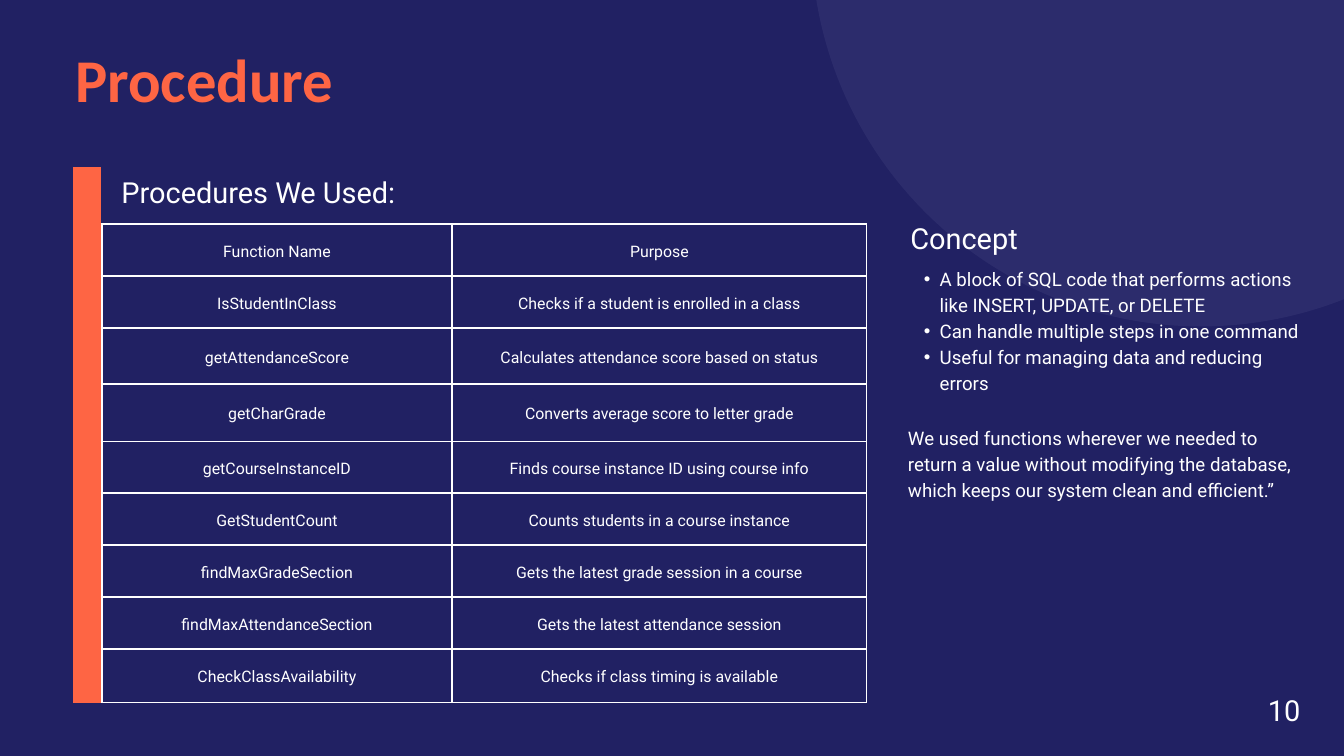
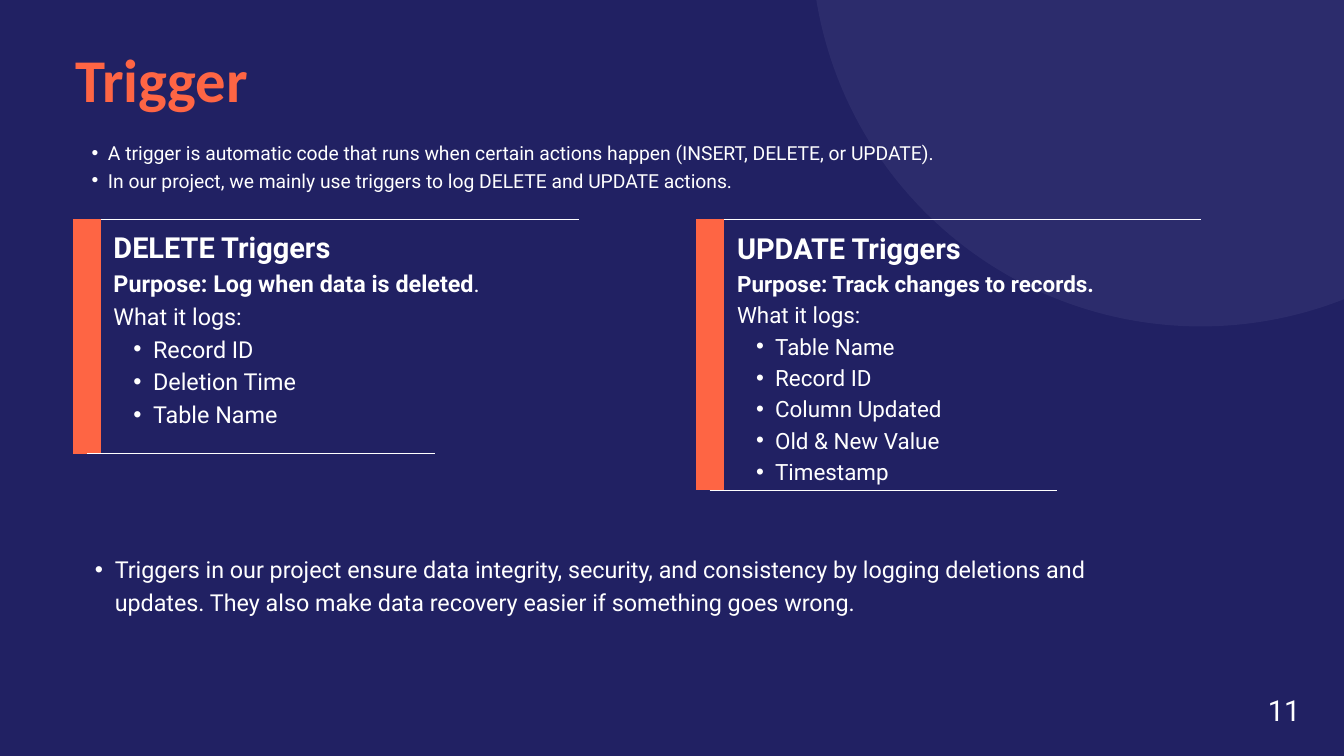
import pptx
import pptx.dml.color
import pptx.enum.shapes
import pptx.enum.text
import pptx.oxml
import pptx.oxml.ns
import pptx.util
from pptx.util import Cm

NAVY = pptx.dml.color.RGBColor(0x21, 0x21, 0x63)
INDIGO = pptx.dml.color.RGBColor(0x2C, 0x2C, 0x6C)
ORANGE = pptx.dml.color.RGBColor(0xFE, 0x65, 0x44)
WHITE = pptx.dml.color.RGBColor(0xFF, 0xFF, 0xFF)

TITLE = {"size": 65, "name": "Calibri", "bold": True, "color": ORANGE}
BODY = {"size": 20, "name": "Roboto", "bold": False, "color": WHITE}
HEADING = {**BODY, "size": 31}
LEADING = 1.4
BULLET_INDENT = 1.7
LEFT = 2.84
BAR_X = 3.3
CENTER = pptx.enum.text.PP_ALIGN.CENTER

PROCEDURES = [
    ("Function Name", "Purpose"),
    ("IsStudentInClass", "Checks if a student is enrolled in a class"),
    ("getAttendanceScore", "Calculates attendance score based on status"),
    ("getCharGrade", "Converts average score to letter grade"),
    ("getCourseInstanceID", "Finds course instance ID using course info"),
    ("GetStudentCount", "Counts students in a course instance"),
    ("findMaxGradeSection", "Gets the latest grade session in a course"),
    ("findMaxAttendanceSection", "Gets the latest attendance session"),
    ("CheckClassAvailability", "Checks if class timing is available"),
]
COLUMN_WIDTHS = (13.26, 15.65)
ROW_HEIGHTS = (1.96, 1.96, 2.11, 2.18, 1.96, 1.96, 1.96, 1.96, 2.03)


def xml(tag, content="", **attrs):
    """Return a drawing element with the given attributes."""
    fields = "".join(f' {key}="{value}"' for key, value in attrs.items())
    ns = pptx.oxml.ns.nsdecls("a")
    return pptx.oxml.parse_xml(f"<a:{tag} {ns}{fields}>{content}</a:{tag}>")


def add_run(p, text, style):
    """Append a run formatted from a style dict."""
    r = p.add_run()
    r.text = text
    for key, value in style.items():
        if key == "color":
            r.font.color.rgb = value
        else:
            setattr(r.font, key, pptx.util.Pt(value) if key == "size" else value)


def fill_paragraph(p, text, style, bullet=False, align=None):
    """Write a paragraph with proportional leading and an optional bullet."""
    p.alignment = align
    p.line_spacing = pptx.util.Pt(round(LEADING * style["size"], 1))
    add_run(p, text, style)
    if bullet:
        p.level = 1
        margin = pptx.util.Pt(BULLET_INDENT * style["size"])
        pPr = p._p.get_or_add_pPr()
        pPr.set("marL", str(margin))
        pPr.set("indent", str(-margin // 2))
        pPr.append(xml("buFont", typeface="Arial"))
        pPr.append(xml("buChar", char="•"))


def add_text(slide, box, paragraphs, align=None):
    """Add a text box of (text, style, bullet) paragraphs and return its frame."""
    tf = slide.shapes.add_textbox(*map(Cm, box)).text_frame
    frame = {"word_wrap": True,
             "auto_size": pptx.enum.text.MSO_AUTO_SIZE.SHAPE_TO_FIT_TEXT}
    frame.update({f"margin_{side}": 0 for side in ("left", "right", "top", "bottom")})
    for key, value in frame.items():
        setattr(tf, key, value)
    for i, (text, style, bullet) in enumerate(paragraphs):
        p = tf.add_paragraph() if i else tf.paragraphs[0]
        fill_paragraph(p, text, style, bullet, align)
    return tf


def add_line(slide, x1, y1, x2, y2, color=WHITE, width=0.75):
    """Add a straight line without a shadow."""
    sp = slide.shapes.add_connector(
        pptx.enum.shapes.MSO_CONNECTOR.STRAIGHT, *map(Cm, (x1, y1, x2, y2)))
    sp.line.color.rgb = color
    sp.line.width = pptx.util.Pt(width)
    sp._element.spPr.append(xml("effectLst"))


def add_bar(slide, x, top, bottom):
    """Add a thick orange accent bar."""
    add_line(slide, x, top, x, bottom, ORANGE, 30)


def add_base(prs, title, number):
    """Add a slide with the shared background, circle, title and number."""
    slide = prs.slides.add_slide(prs.slide_layouts[6])
    slide.background.fill.solid()
    slide.background.fill.fore_color.rgb = NAVY
    sp = slide.shapes.add_shape(pptx.enum.shapes.MSO_SHAPE.OVAL,
                                Cm(30.66), Cm(-17.12), Cm(29.46), Cm(29.46))
    sp.shadow.inherit = False
    sp.fill.solid()
    sp.fill.fore_color.rgb = INDIGO
    sp.line.fill.background()
    add_text(slide, (LEFT, 1.12, 24.31, 3.12), [(title, TITLE, False)])
    add_text(slide, (47.9, 25.98, 1.27, 1.45), [(str(number), HEADING, False)], CENTER)
    return slide


def fill_cell(cell, text):
    """Write a centred, unfilled cell with white borders."""
    cell.fill.background()
    cell.vertical_anchor = pptx.enum.text.MSO_ANCHOR.MIDDLE
    for side in ("left", "right", "top", "bottom"):
        setattr(cell, f"margin_{side}", Cm(0.53))
    fill_paragraph(cell.text_frame.paragraphs[0], text, {**BODY, "size": 17}, align=CENTER)
    paint = f'<a:solidFill><a:srgbClr val="{WHITE}"/></a:solidFill>'
    tcPr = cell._tc.get_or_add_tcPr()
    for i, edge in enumerate("LRTB"):
        tcPr.insert(i, xml(f"ln{edge}", paint, w=pptx.util.Pt(2.25)))


def add_procedure_table(slide):
    """Add the table of procedures and their purposes."""
    table = slide.shapes.add_table(
        len(PROCEDURES), len(COLUMN_WIDTHS), Cm(3.84), Cm(8.48),
        Cm(sum(COLUMN_WIDTHS)), Cm(sum(ROW_HEIGHTS))).table
    table.first_row = table.horz_banding = False
    for column, width in zip(table.columns, COLUMN_WIDTHS):
        column.width = Cm(width)
    for row, height, texts in zip(table.rows, ROW_HEIGHTS, PROCEDURES):
        row.height = Cm(height)
        for cell, text in zip(row.cells, texts):
            fill_cell(cell, text)


def add_trigger_panel(slide, x, bottom, box, size, heading, purpose, logged, tail=""):
    """Add a framed panel listing what one kind of trigger logs."""
    top = 8.28
    body = {**BODY, "size": size}
    add_line(slide, x, top, x + 18.57, top)
    add_bar(slide, x, top, bottom)
    add_line(slide, x, bottom, x + 13.15, bottom)
    tf = add_text(slide, box, [
        (heading, {**HEADING, "bold": True}, False),
        (purpose, {**body, "bold": True}, False),
        ("What it logs:", body, False),
        *((item, body, True) for item in logged)])
    if tail:
        add_run(tf.paragraphs[1], tail, body)


def build_procedure(prs):
    """Build the slide on procedures."""
    slide = add_base(prs, "Procedure", 10)
    add_bar(slide, BAR_X, 6.32, 26.59)
    add_procedure_table(slide)
    add_text(slide, (4.52, 6.4, 10.49, 1.45), [("Procedures We Used:", HEADING, False)], CENTER)
    add_text(slide, (34.32, 8.13, 4.24, 1.45), [("Concept", HEADING, False)], CENTER)
    concepts = ("A block of SQL code that performs actions like INSERT, UPDATE, or DELETE",
                "Can handle multiple steps in one command",
                "Useful for managing data and reducing errors")
    add_text(slide, (34.32, 9.98, 15.34, 4.88), [(text, BODY, True) for text in concepts])
    add_text(slide, (34.32, 16, 14.94, 2.92), [(
        "We used functions wherever we needed to return a value without modifying "
        "the database, which keeps our system clean and efficient.”", BODY, False)])


def build_trigger(prs):
    """Build the slide on triggers."""
    slide = add_base(prs, "Trigger", 11)
    intro = ("A trigger is automatic code that runs when certain actions happen "
             "(INSERT, DELETE, or UPDATE).",
             "In our project, we mainly use triggers to log DELETE and UPDATE actions.")
    add_text(slide, (LEFT, 5.21, 32.82, 1.98),
             [(text, {**BODY, "size": 20.7}, True) for text in intro])
    add_trigger_panel(slide, BAR_X, 17.15, (4.29, 8.48, 14.5, 7.54), 25,
                      "DELETE Triggers", "Purpose: Log when data is deleted",
                      ("Record ID", "Deletion Time", "Table Name"), tail=".")
    add_trigger_panel(slide, 26.82, 18.52, (27.86, 8.51, 14.07, 9.63), 24,
                      "UPDATE Triggers", "Purpose: Track changes to records.",
                      ("Table Name", "Record ID", "Column Updated",
                       "Old & New Value", "Timestamp"))
    add_text(slide, (LEFT, 20.83, 41.33, 2.41), [(
        "Triggers in our project ensure data integrity, security, and consistency by "
        "logging deletions and updates. They also make data recovery easier if "
        "something goes wrong.", {**BODY, "size": 25}, True)])


def main():
    """Build and save the presentation."""
    prs = pptx.Presentation()
    prs.slide_width, prs.slide_height = Cm(50.8), Cm(28.58)
    build_procedure(prs)
    build_trigger(prs)
    prs.save("out.pptx")


if __name__ == "__main__":
    main()
